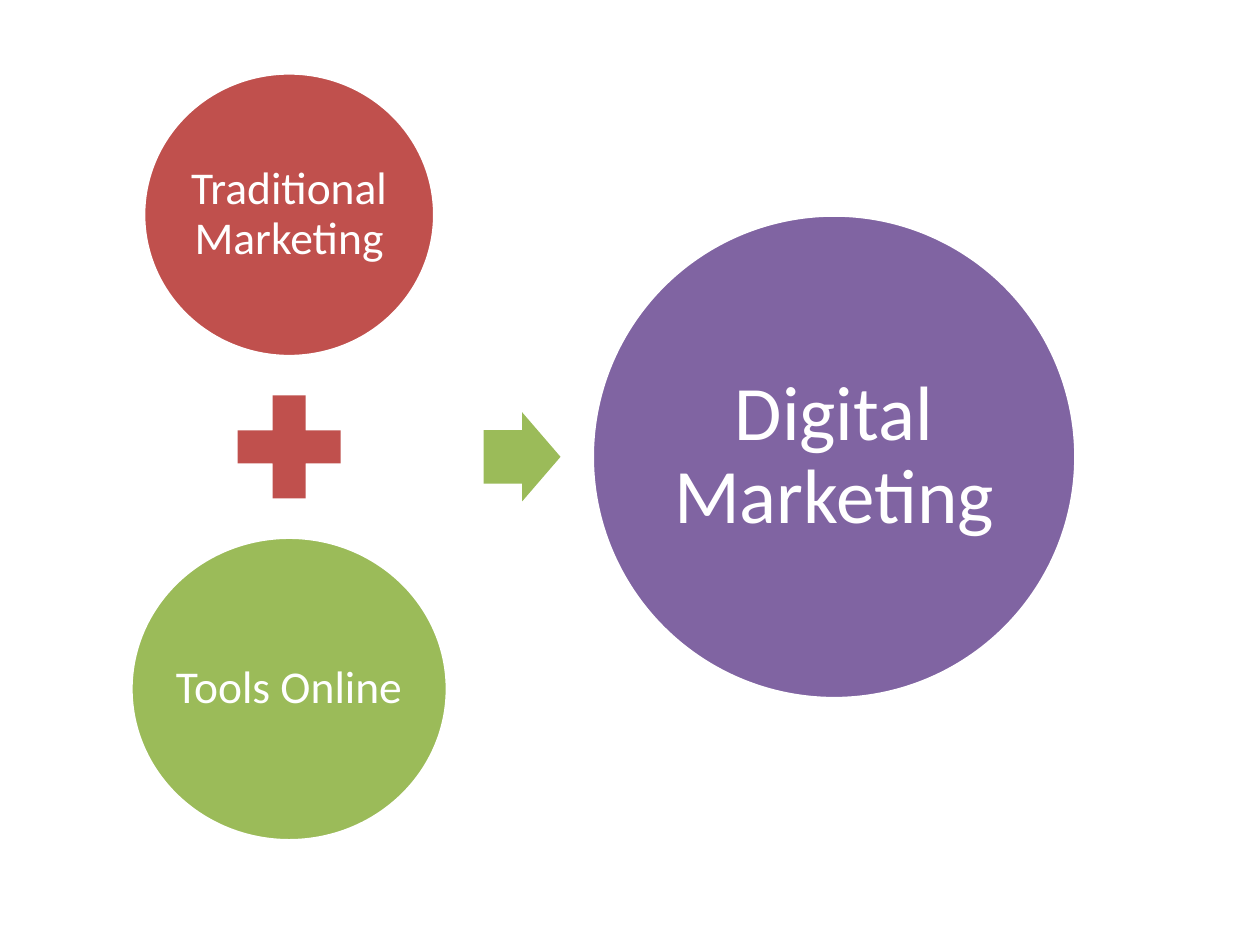
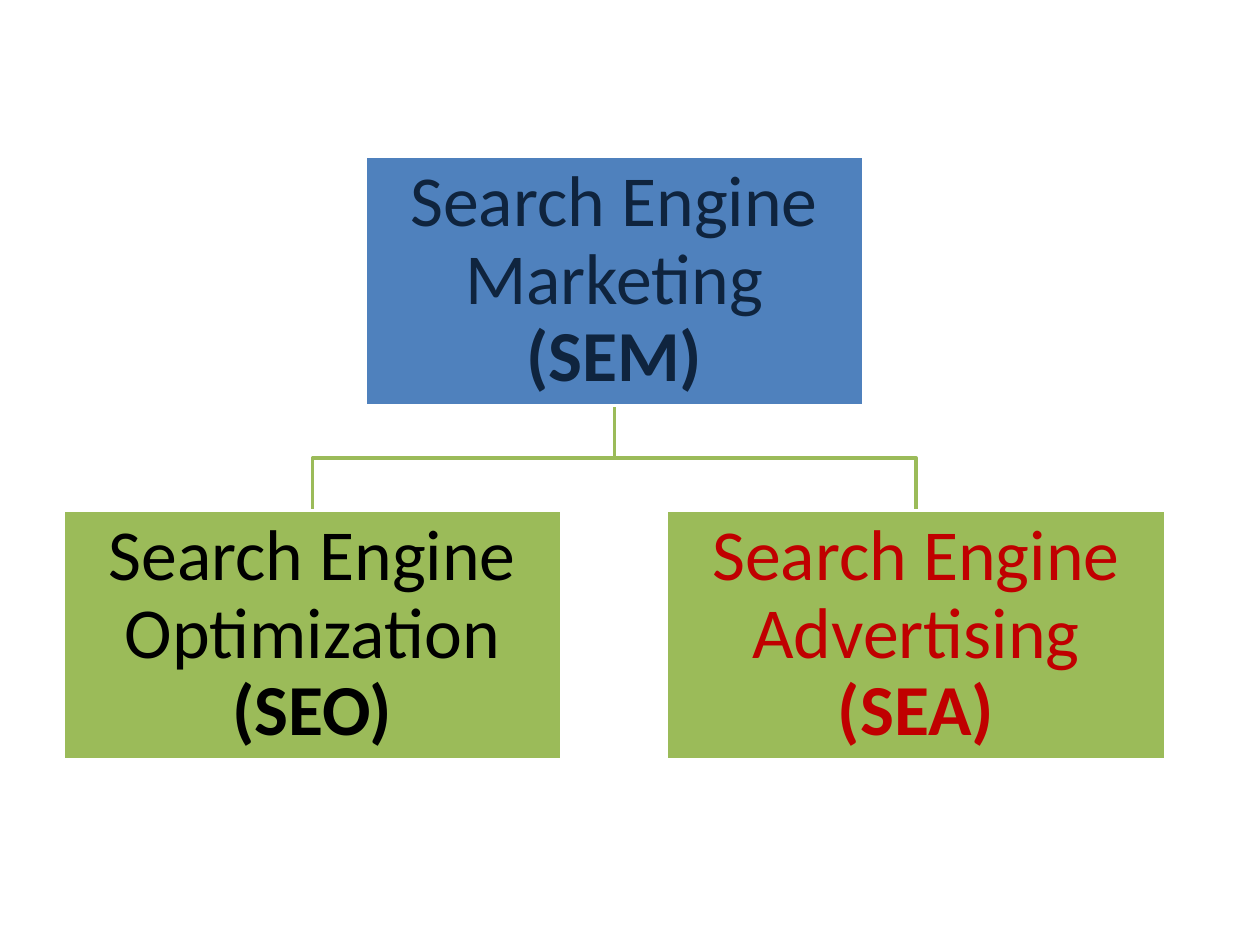
from dataclasses import dataclass

from pptx import Presentation
from pptx import util as u
from pptx.dml.color import RGBColor
from pptx.enum import shapes, text

Cm = u.Cm
PRESET = shapes.MSO_SHAPE


@dataclass(frozen=True)
class Theme:
    font: str = "Calibri"
    white: str = "FFFFFF"
    black: str = "000000"
    red: str = "C0504D"
    green: str = "9BBB59"
    purple: str = "8064A2"
    blue: str = "4F81BD"
    navy: str = "0F243E"
    crimson: str = "C00000"
    circle_size: int = 26
    result_size: int = 44
    box_size: int = 41
    line_width: int = 2
    line_spacing: float = 0.9


class Deck:
    """Draws on the current slide; all lengths are centimetres."""

    def __init__(self, theme):
        self.theme = theme
        self.prs = Presentation()
        self.prs.slide_width, self.prs.slide_height = Cm(25.4), Cm(19.05)
        self.slide = None

    def new_slide(self):
        blank = self.prs.slide_layouts[6]
        self.slide = self.prs.slides.add_slide(blank)

    def shape(self, preset, left, top, width, height, fill, outlined=False):
        item = self.slide.shapes.add_shape(
            preset, Cm(left), Cm(top), Cm(width), Cm(height))
        item.shadow.inherit = False
        item.fill.solid()
        item.fill.fore_color.rgb = RGBColor.from_string(fill)
        if outlined:
            self.outline(item, self.theme.white)
        else:
            item.line.fill.background()
        return item

    def outline(self, item, color):
        item.line.color.rgb = RGBColor.from_string(color)
        item.line.width = u.Pt(self.theme.line_width)

    def label(self, item, size, color, inset):
        """Prepare the centred text of a shape and return its paragraph."""
        frame = item.text_frame
        frame.word_wrap = True
        frame.vertical_anchor = text.MSO_ANCHOR.MIDDLE
        frame.margin_left = frame.margin_right = Cm(inset)
        frame.margin_top = frame.margin_bottom = Cm(inset)
        paragraph = frame.paragraphs[0]
        paragraph.alignment = text.PP_ALIGN.CENTER
        paragraph.line_spacing = self.theme.line_spacing
        paragraph.font.name = self.theme.font
        paragraph.font.size = u.Pt(size)
        paragraph.font.color.rgb = RGBColor.from_string(color)
        return paragraph

    def circle(self, left, top, width, height, fill, words, size, wrap=True):
        item = self.shape(PRESET.OVAL, left, top, width, height, fill, True)
        self.label(item, size, self.theme.white, 0).add_run().text = words
        item.text_frame.word_wrap = wrap

    def box(self, left, top, width, height, fill, color, name, acronym,
            own_line=False):
        item = self.shape(PRESET.RECTANGLE, left, top, width, height, fill, True)
        paragraph = self.label(item, self.theme.box_size, color, 0.08)
        paragraph.add_run().text = name if own_line else name + " "
        if own_line:
            paragraph.add_line_break()
        short = paragraph.add_run()
        short.text = acronym
        short.font.bold = True

    def branch(self, x1, y1, x2, y2):
        """Draw a right-angled line that turns halfway down."""
        middle = (y1 + y2) / 2
        builder = self.slide.shapes.build_freeform(Cm(x1), Cm(y1))
        corners = [(x1, middle), (x2, middle), (x2, y2)]
        builder.add_line_segments([(Cm(x), Cm(y)) for x, y in corners], close=False)
        line = builder.convert_to_shape()
        line.shadow.inherit = False
        line.fill.background()
        self.outline(line, self.theme.green)


def digital_marketing(deck):
    theme = deck.theme
    deck.new_slide()
    column_x, middle_y, gap = 5.83, 9.21, 0.41
    plus = 2.82
    traditional_w, traditional_h = 5.87, 5.72
    tools_w, tools_h = 6.38, 6.12
    traditional_y = middle_y - (traditional_h + plus + tools_h + 2 * gap) / 2
    plus_y = traditional_y + traditional_h + gap
    tools_y = plus_y + plus + gap

    deck.circle(column_x - traditional_w / 2, traditional_y, traditional_w,
                traditional_h, theme.red, "Traditional Marketing",
                theme.circle_size)
    deck.shape(PRESET.MATH_PLUS, column_x - plus / 2, plus_y, plus, plus, theme.red)
    deck.circle(column_x - tools_w / 2, tools_y, tools_w, tools_h,
                theme.green, "Tools Online", theme.circle_size, wrap=False)

    arrow_h, result = 1.8, 9.75
    arrow = deck.shape(PRESET.RIGHT_ARROW, 9.75, middle_y - arrow_h / 2,
                       1.55, arrow_h, theme.green)
    arrow.adjustments[0], arrow.adjustments[1] = 0.6, 0.5
    deck.circle(11.94, middle_y - result / 2, result, result, theme.purple,
                "Digital Marketing", theme.result_size)


def search_engine_marketing(deck):
    theme = deck.theme
    deck.new_slide()
    left, top, width, height, gap = 1.27, 3.15, 10.06, 5.03, 2.11
    step = width + gap
    parent_left = left + step / 2
    parent_bottom = top + height
    child_top = parent_bottom + gap
    children = [
        ("Search Engine Optimization", "(SEO)", theme.black),
        ("Search Engine Advertising", "(SEA)", theme.crimson),
    ]
    for column in range(len(children)):
        deck.branch(parent_left + width / 2, parent_bottom,
                    left + column * step + width / 2, child_top)
    deck.box(parent_left, top, width, height, theme.blue, theme.navy,
             "Search Engine Marketing", "(SEM)", own_line=True)
    for column, (name, acronym, color) in enumerate(children):
        deck.box(left + column * step, child_top, width, height,
                 theme.green, color, name, acronym)


def main():
    deck = Deck(Theme())
    digital_marketing(deck)
    search_engine_marketing(deck)
    deck.prs.save("out.pptx")


if __name__ == "__main__":
    main()
